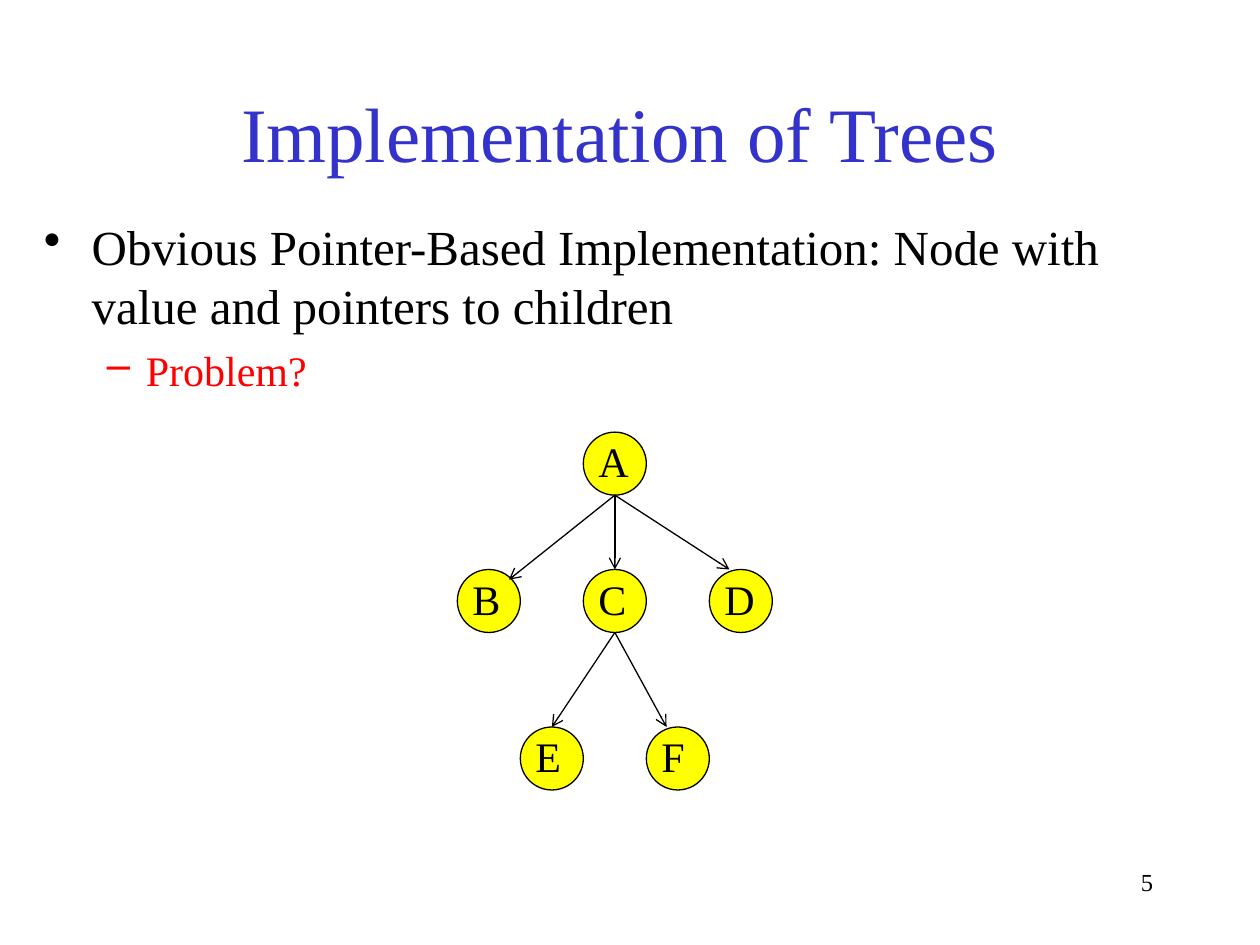
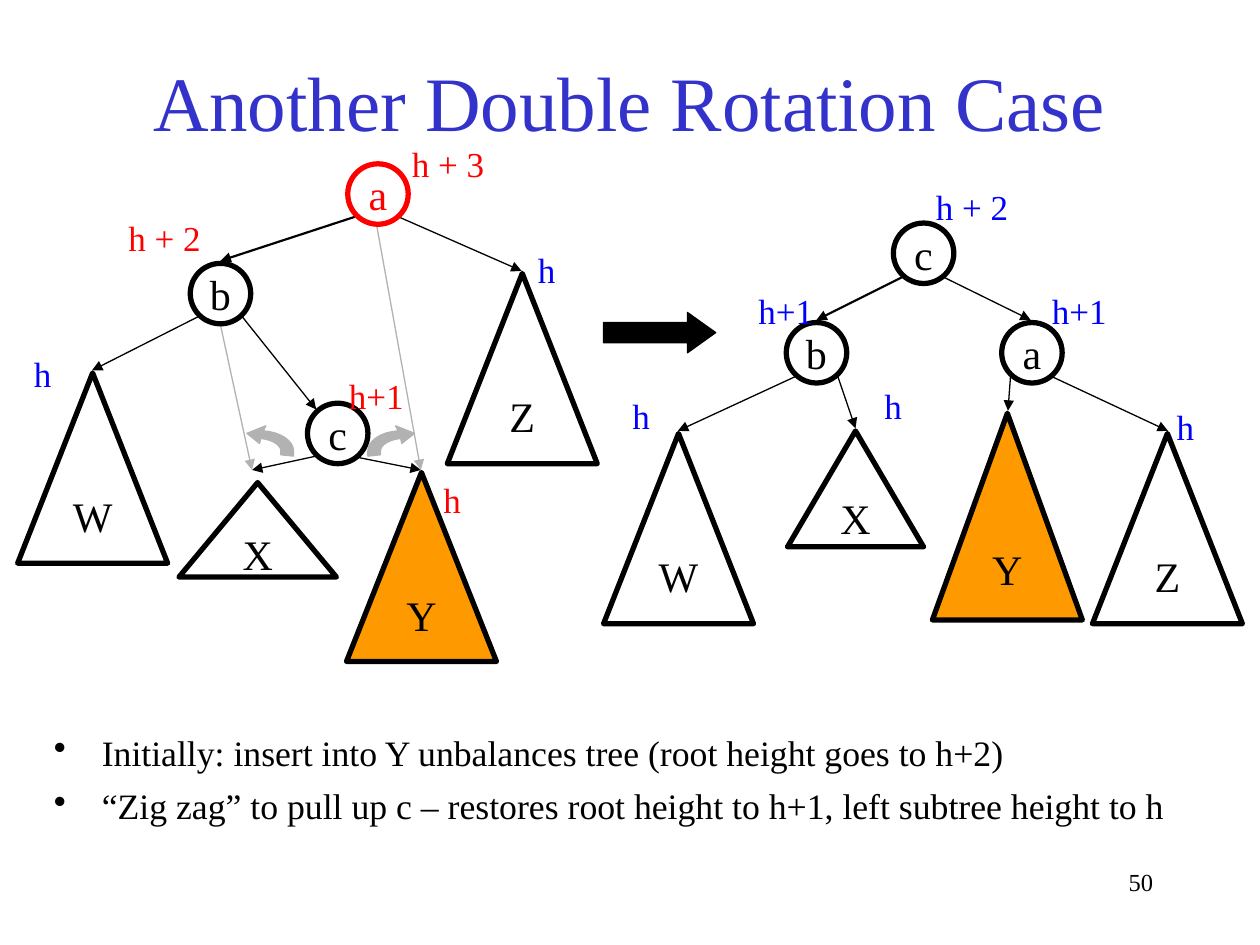
from dataclasses import dataclass

from lxml import etree
from pptx import Presentation
from pptx.dml.color import RGBColor
from pptx.enum.shapes import MSO_CONNECTOR, MSO_SHAPE
from pptx.enum.text import MSO_ANCHOR, MSO_AUTO_SIZE, PP_ALIGN
from pptx.oxml.ns import qn
from pptx.util import Pt

PX = 9144
STRAIGHT = MSO_CONNECTOR.STRAIGHT
CIRCLE, TRIANGLE, ARROW = MSO_SHAPE.OVAL, MSO_SHAPE.ISOSCELES_TRIANGLE, MSO_SHAPE.RIGHT_ARROW
TOP, MIDDLE = MSO_ANCHOR.TOP, MSO_ANCHOR.MIDDLE
LEFT, CENTER, RIGHT = PP_ALIGN.LEFT, PP_ALIGN.CENTER, PP_ALIGN.RIGHT
GROW = MSO_AUTO_SIZE.SHAPE_TO_FIT_TEXT


@dataclass(frozen=True)
class Theme:
    """Colours, font and type sizes of the deck."""
    font: str = "Times New Roman"
    title: str = "3333CC"
    ink: str = "000000"
    red: str = "FF0000"
    blue: str = "0000FF"
    node: str = "FFFF00"
    inserted: str = "FF9900"
    faint: str = "B2B2B2"
    title_size: float = 44
    body_size: float = 28
    node_size: float = 24
    note_size: float = 20.4
    height_size: float = 20
    page_size: float = 14
    thin: float = 0.75
    medium: float = 1.25
    thick: float = 3


THEME = Theme()


def emu(*lengths):
    """Turn px lengths into EMU."""
    return [round(length * PX) for length in lengths]


def style(paragraph, size, color, align=LEFT):
    """Set the font and alignment of a paragraph."""
    paragraph.alignment = align
    paragraph.font.name = THEME.font
    paragraph.font.size = Pt(size)
    paragraph.font.color.rgb = RGBColor.from_string(color)


def add_text(slide, box, text, size, color=THEME.ink, align=LEFT, anchor=TOP, wrap=True):
    """Add a one-paragraph text box, which grows with its text if it does not wrap."""
    frame = slide.shapes.add_textbox(*emu(*box)).text_frame
    frame.word_wrap = wrap
    if not wrap:
        frame.auto_size = GROW
    frame.vertical_anchor = anchor
    frame.text = text
    style(frame.paragraphs[0], size, color, align)


def add_bullets(slide, box, items):
    """Add bulleted items given as text, bullet, level, margin, hang, size, colour, space before."""
    frame = slide.shapes.add_textbox(*emu(*box)).text_frame
    frame.word_wrap = True
    for i, (text, bullet, level, margin, hang, size, color, space) in enumerate(items):
        paragraph = frame.add_paragraph() if i else frame.paragraphs[0]
        paragraph.text = text
        paragraph.level = level
        if i:
            paragraph.space_before = Pt(space)
        properties = paragraph._p.get_or_add_pPr()
        properties.set("marL", str(margin * PX))
        properties.set("indent", str(-hang * PX))
        bullet_color = etree.SubElement(properties, qn("a:buClr"))
        etree.SubElement(bullet_color, qn("a:srgbClr"), val=color)
        etree.SubElement(properties, qn("a:buChar"), char=bullet)
        style(paragraph, size, color)


def paint(shape, fill, line, width):
    """Give a shape its fill and outline, without shadow."""
    shape.shadow.inherit = False
    if fill:
        shape.fill.solid()
        shape.fill.fore_color.rgb = RGBColor.from_string(fill)
    else:
        shape.fill.background()
    shape.line.color.rgb = RGBColor.from_string(line)
    shape.line.width = Pt(width)


def add_figure(slide, kind, box, text="", fill=None, line=THEME.ink, width=THEME.thick):
    """Add a preset shape with a centred label in its outline colour."""
    figure = slide.shapes.add_shape(kind, *emu(*box))
    paint(figure, fill, line, width)
    if text:
        frame = figure.text_frame
        frame.word_wrap = False
        frame.vertical_anchor = MIDDLE
        frame.text = text
        style(frame.paragraphs[0], THEME.node_size, line, CENTER)
    return figure


def add_edge(slide, ends, head="triangle", color=THEME.ink, width=THEME.thin):
    """Add an arrow between two points."""
    edge = slide.shapes.add_connector(STRAIGHT, *emu(*ends))
    edge.line.color.rgb = RGBColor.from_string(color)
    edge.line.width = Pt(width)
    properties = edge._element.spPr
    etree.SubElement(properties.find(qn("a:ln")), qn("a:tailEnd"), type=head)
    etree.SubElement(properties, qn("a:effectLst"))


def add_frame(prs, title, title_box, page):
    """Add a blank slide with its title and page number."""
    slide = prs.slides.add_slide(prs.slide_layouts[6])
    add_text(slide, (717, 683, 208, 50), page, THEME.page_size, align=RIGHT)
    add_text(slide, title_box, title, THEME.title_size, THEME.title, CENTER, MIDDLE)
    return slide


def draw_pointer_tree(slide, box):
    """Draw the tree of nodes with pointers to children."""
    left, top, size = box
    nodes = {"A": (100, 0), "B": (0, 109), "C": (100, 109), "D": (200, 109),
             "E": (50, 234), "F": (150, 234)}
    pointers = [("A", "B", 41, 8), ("A", "C", 25, 0), ("C", "E", 25, 0),
                ("C", "F", 16, 0), ("A", "D", 16, 0)]
    for x, y in nodes.values():
        add_figure(slide, CIRCLE, (left + x, top + y, size, size),
                   fill=THEME.node, width=THEME.thin)
    for parent, child, dx, dy in pointers:
        (px, py), (cx, cy) = nodes[parent], nodes[child]
        add_edge(slide, (left + px + size / 2, top + py + size,
                         left + cx + dx, top + cy + dy), "arrow")
    for letter, (x, y) in nodes.items():
        add_text(slide, (left + x + 2, top + y - 2, 44, 50), letter, THEME.node_size)


def draw_rotation_tree(slide, origin, nodes, subtrees, edges, heights):
    """Draw a tree of round nodes, triangular subtrees and height labels."""
    left, top = origin
    for x1, y1, x2, y2, color, width in edges:
        add_edge(slide, (left + x1, top + y1, left + x2, top + y2), color=color, width=width)
    for letter, x, y, color in nodes:
        add_figure(slide, CIRCLE, (left + x, top + y, 48, 48), letter, line=color)
    for letter, x, y, width, height in subtrees:
        add_figure(slide, TRIANGLE, (left + x, top + y, width, height), letter,
                   THEME.inserted if letter == "Y" else None)
    label_widths = {"h": 34, "h+1": 64, "h + 2": 78, "h + 3": 78}
    for text, x, y, color in heights:
        add_text(slide, (left + x, top + y, label_widths[text], 44), text,
                 THEME.height_size, color, wrap=False)


def bezier(start, first, second, end, steps=8):
    """Return points along a cubic curve."""
    points = []
    for step in range(steps + 1):
        t = step / steps
        weights = ((1 - t) ** 3, 3 * t * (1 - t) ** 2, 3 * t * t * (1 - t), t ** 3)
        points.append(tuple(sum(w * p[axis] for w, p in zip(weights, (start, first, second, end)))
                            for axis in (0, 1)))
    return points


def draw_swing_arrows(slide, origin):
    """Draw the mirrored pair of bent arrows beside node c."""
    left, top = origin
    outline = [*bezier((26, 10), (17, 11), (10, 15), (10, 20)), (10, 23), (0, 24),
               *bezier((0, 20), (0, 12), (10, 5), (24, 4)), (22, 0), (37, 6), (27, 14)]
    for start, direction in ((96, 1), (37, -1)):
        points = [emu(left + start + direction * x, top + y) for x, y in outline]
        builder = slide.shapes.build_freeform(*points[0], scale=1.0)
        builder.add_line_segments(points[1:], close=True)
        paint(builder.convert_to_shape(), THEME.faint, THEME.faint, THEME.thin)


def build_implementation(prs):
    """Build the slide on implementing trees."""
    slide = add_frame(prs, "Implementation of Trees", (67, 42, 850, 125), "5")
    add_bullets(slide, (25, 167, 917, 175), [
        ("Obvious Pointer-Based Implementation: Node with value and pointers to children",
         "•", 0, 38, 38, THEME.body_size, THEME.ink, 0),
        ("Problem?", "–", 1, 81, 31, THEME.node_size, THEME.red, 6)])
    draw_pointer_tree(slide, (363, 343, 50))


def build_rotation(prs):
    """Build the slide on the double rotation."""
    slide = add_frame(prs, "Another Double Rotation Case", (75, 17, 850, 125), "50")
    notes = ("Initially: insert into Y unbalances tree (root height goes to h+2)",
             "“Zig zag” to pull up c – restores root height to h+1, left subtree height to h")
    add_bullets(slide, (33, 575, 925, 125),
                [(note, "•", 0, 38, 38, THEME.note_size, THEME.ink, 6) for note in notes])
    ink, red, blue, faint = THEME.ink, THEME.red, THEME.blue, THEME.faint
    thin, medium = THEME.thin, THEME.medium
    draw_rotation_tree(
        slide, (0, 100),
        nodes=[("a", 276, 30, red), ("b", 151, 109, ink), ("c", 244, 220, ink)],
        subtrees=[("Z", 355, 117, 119, 151), ("W", 14, 196, 119, 151),
                  ("Y", 275, 275, 119, 150), ("X", 142, 283, 125, 75)],
        edges=[(282, 72, 175, 107, ink, medium), (316, 72, 414, 115, ink, thin),
               (192, 151, 251, 225, ink, thin), (158, 151, 73, 194, ink, thin),
               (251, 262, 200, 273, ink, thin), (284, 263, 334, 273, ink, thin),
               (175, 158, 200, 273, faint, thin), (299, 79, 334, 273, faint, thin)],
        heights=[("h+1", 267, 192, red), ("h", 342, 275, red), ("h", 17, 175, blue),
                 ("h", 417, 92, blue), ("h + 3", 317, 8, red), ("h + 2", 92, 67, red)])
    draw_swing_arrows(slide, (196, 338))
    step_arrow = add_figure(slide, ARROW, (479, 248, 89, 32), fill=ink, width=thin)
    step_arrow.adjustments[1] = 0.7
    draw_rotation_tree(
        slide, (470, 100),
        nodes=[("c", 239, 77, ink), ("b", 154, 156, ink), ("a", 325, 156, ink)],
        subtrees=[("W", 9, 244, 119, 151), ("X", 155, 242, 108, 92),
                  ("Y", 270, 228, 119, 164), ("Z", 397, 244, 119, 151)],
        edges=[(246, 120, 178, 154, ink, medium), (279, 120, 348, 154, ink, thin),
               (161, 199, 68, 242, ink, thin), (195, 199, 209, 240, ink, thin),
               (332, 199, 330, 226, ink, thin), (365, 199, 457, 242, ink, thin)],
        heights=[("h", 454, 217, blue), ("h", 22, 208, blue), ("h+1", 355, 125, blue),
                 ("h + 2", 263, 42, blue), ("h+1", 122, 125, blue), ("h", 222, 200, blue)])


def main():
    """Build and save the deck."""
    prs = Presentation()
    prs.slide_width, prs.slide_height = emu(1000, 750)
    build_implementation(prs)
    build_rotation(prs)
    prs.save("out.pptx")


if __name__ == "__main__":
    main()
